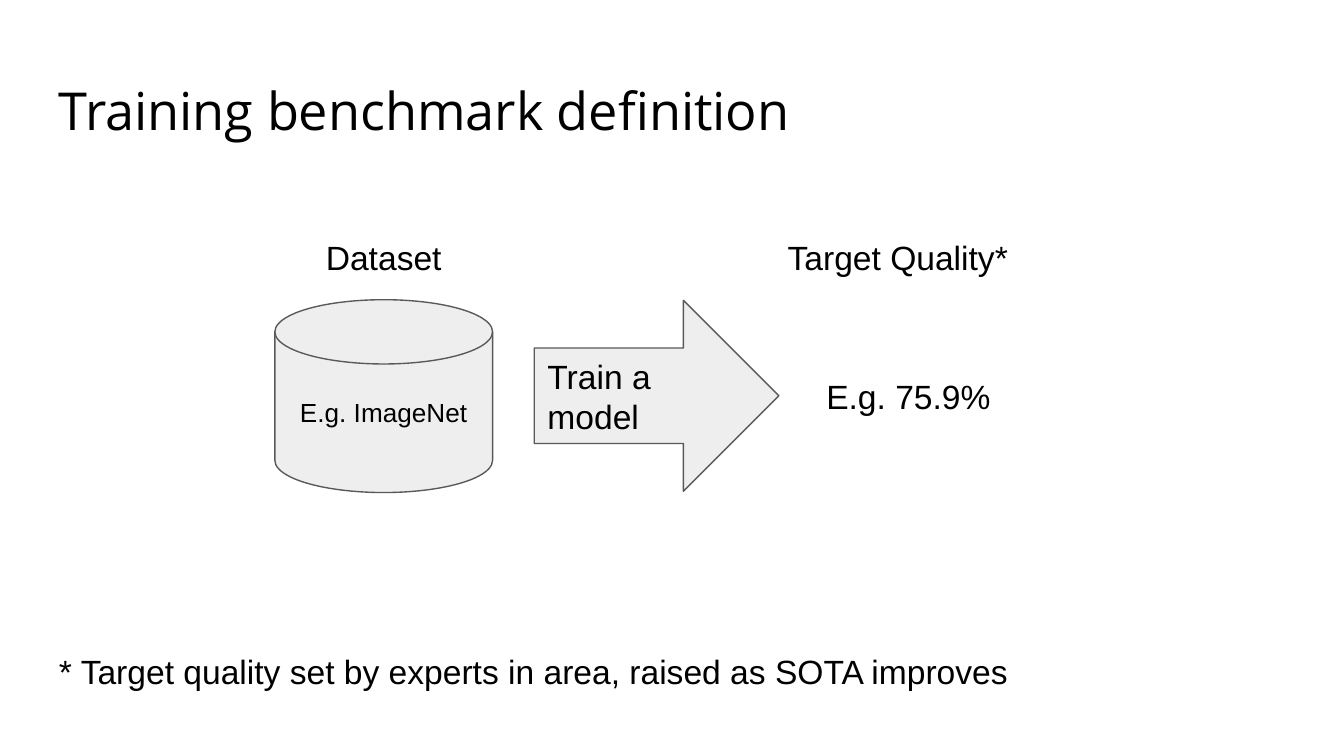
import pptx
import pptx.util
from pptx.dml.color import RGBColor
from pptx.enum.shapes import MSO_SHAPE
from pptx.enum.text import MSO_ANCHOR, PP_ALIGN

PX = 4572
BLACK = RGBColor(0x00, 0x00, 0x00)
WHITE = RGBColor(0xFF, 0xFF, 0xFF)
LIGHT = RGBColor(0xEE, 0xEE, 0xEE)
GRAY = RGBColor(0x59, 0x59, 0x59)


def px(*values):
    """Turn px lengths into EMU."""
    return [pptx.util.Emu(v * PX) for v in values]


def write(sp, text, size=18, font="Arial", align=PP_ALIGN.LEFT, anchor=MSO_ANCHOR.TOP):
    """Put formatted text into a shape."""
    tf = sp.text_frame
    tf.word_wrap = True
    tf.vertical_anchor = anchor
    tf.margin_left, tf.margin_top, tf.margin_right, tf.margin_bottom = px(20, 20, 20, 20)
    p = tf.paragraphs[0]
    p.alignment = align
    r = p.add_run()
    r.text = text
    r.font.size = pptx.util.Pt(size)
    r.font.name = font
    r.font.color.rgb = BLACK


def add_text(s, box, text, **fmt):
    """Add a text box."""
    write(s.shapes.add_textbox(*px(*box)), text, **fmt)


def add_shape(s, kind, box, text, fill=LIGHT, line=GRAY, **fmt):
    """Add a filled preset shape with text."""
    sp = s.shapes.add_shape(kind, *px(*box))
    sp.shadow.inherit = False
    sp.fill.solid()
    sp.fill.fore_color.rgb = fill
    if line is None:
        sp.line.fill.background()
    else:
        sp.line.color.rgb = line
        sp.line.width = pptx.util.Pt(0.75)
    write(sp, text, **fmt)


def main():
    """Build the slide and save it."""
    prs = pptx.Presentation()
    prs.slide_width, prs.slide_height = px(2000, 1125)
    s = prs.slides.add_slide(prs.slide_layouts[6])
    center, middle = PP_ALIGN.CENTER, MSO_ANCHOR.MIDDLE

    add_text(s, (68, 97, 1864, 125), "Training benchmark definition", size=28, font="Open Sans")
    for left, heading in ((975, "Target Quality*"), (210, "Dataset")):
        add_text(s, (left, 332, 722, 134), heading, align=center)
    add_text(s, (1202, 448, 300, 284), "E.g. 75.9%", align=center, anchor=middle)
    add_shape(s, MSO_SHAPE.RIGHT_ARROW, (795, 447, 364, 284), "Train a model", anchor=middle)
    add_shape(s, MSO_SHAPE.FLOWCHART_MAGNETIC_DISK, (409, 446, 324, 287), "E.g. ImageNet",
              size=14, align=center, anchor=middle)
    add_shape(s, MSO_SHAPE.RECTANGLE, (68, 949, 1516, 125),
              "* Target quality set by experts in area, raised as SOTA improves",
              fill=WHITE, line=None)
    prs.save("out.pptx")


if __name__ == "__main__":
    main()
